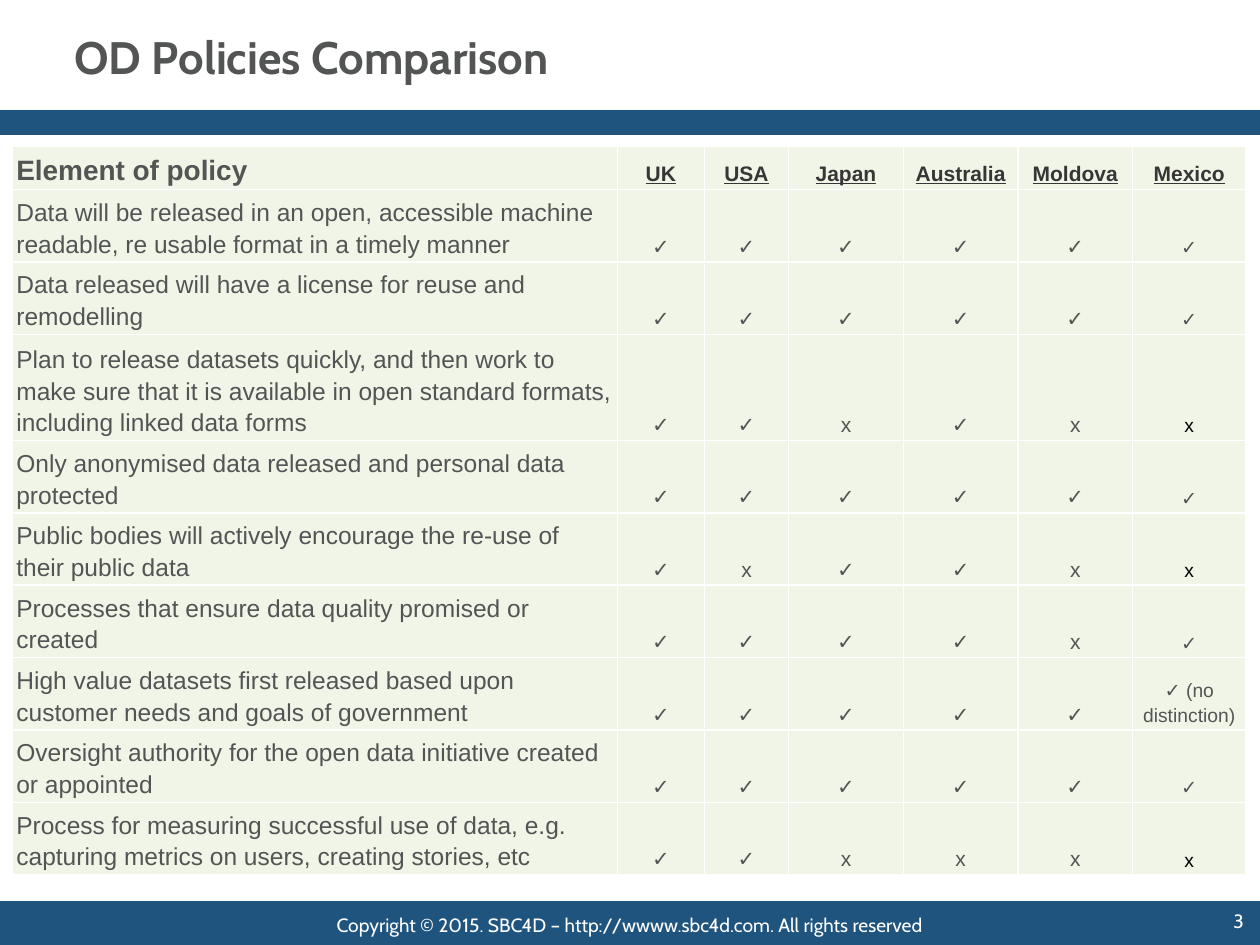
from dataclasses import dataclass

from lxml import etree
from pptx import Presentation
from pptx.dml.color import RGBColor
from pptx.enum.shapes import MSO_SHAPE
from pptx.enum.text import MSO_ANCHOR, MSO_AUTO_SIZE, PP_ALIGN
from pptx.oxml.ns import qn
from pptx.util import Inches, Pt

RECT = MSO_SHAPE.RECTANGLE
TOP, MIDDLE, BOTTOM = MSO_ANCHOR.TOP, MSO_ANCHOR.MIDDLE, MSO_ANCHOR.BOTTOM
LEFT, CENTER, RIGHT = PP_ALIGN.LEFT, PP_ALIGN.CENTER, PP_ALIGN.RIGHT
NO_AUTOFIT = MSO_AUTO_SIZE.NONE

COUNTRIES = ["UK", "USA", "Japan", "Australia", "Moldova", "Mexico"]
POLICIES = [
    ("Data will be released in an open, accessible machine readable, "
     "re usable format in a timely manner", "✓✓✓✓✓✓"),
    ("Data released will have a license for reuse and remodelling", "✓✓✓✓✓✓"),
    ("Plan to release datasets quickly, and then work to make sure that it is "
     "available in open standard formats, including linked data forms", "✓✓x✓xx"),
    ("Only anonymised data released and personal data protected", "✓✓✓✓✓✓"),
    ("Public bodies will actively encourage the re-use of their public data", "✓x✓✓xx"),
    ("Processes that ensure data quality promised or created", "✓✓✓✓x✓"),
    ("High value datasets first released based upon customer needs and goals "
     "of government", ["✓"] * 5 + ["✓ (no distinction)"]),
    ("Oversight authority for the open data initiative created or appointed", "✓✓✓✓✓✓"),
    ("Process for measuring successful use of data, e.g. capturing metrics on "
     "users, creating stories, etc", "✓✓xxxx"),
]
COL_WIDTHS = [4.8, 0.69, 0.67] + [0.91] * 3 + [0.9]
ROW_HEIGHTS = [0.32, 0.57, 0.57, 0.84] + [0.57] * 6


@dataclass(frozen=True)
class Theme:
    """Colours, fonts and type sizes."""
    band: str = "1F547E"
    cell: str = "F0F5E7"
    white: str = "FFFFFF"
    black: str = "000000"
    text: str = "535555"
    country: str = "363636"
    brand_font: str = "Cabin"
    table_font: str = "Arial"
    title: int = 26
    heading: int = 16
    policy: int = 14
    mark: int = 12
    small: int = 11


def write(tf, text, font, size, color, bold=False, underline=False,
          align=LEFT, anchor=TOP, spacing=None):
    """Put one formatted paragraph into a text frame."""
    tf.word_wrap = True
    tf.vertical_anchor = anchor
    p = tf.paragraphs[0]
    p.alignment = align
    p.line_spacing = spacing
    r = p.add_run()
    r.text = text
    r.font.name, r.font.size = font, Pt(size)
    r.font.bold, r.font.underline = bold, underline
    r.font.color.rgb = RGBColor.from_string(color)


class SlideBuilder:
    """Hold the theme and the current slide."""

    def __init__(self, slide, theme):
        self.s, self.theme = slide, theme

    def band(self, top, height, line_width):
        """Draw a full-width coloured band."""
        sp = self.s.shapes.add_shape(RECT, 0, Inches(top), Inches(10), Inches(height))
        sp.shadow.inherit = False
        color = RGBColor.from_string(self.theme.band)
        sp.fill.solid()
        sp.fill.fore_color.rgb = color
        sp.line.color.rgb = color
        sp.line.width = Pt(line_width)
        return sp

    def title(self, text):
        """Fill and place the title placeholder."""
        t, sp = self.theme, self.s.shapes.title
        sp.left, sp.top = Inches(0.49), Inches(0)
        sp.width, sp.height = Inches(7.99), Inches(0.89)
        sp.text_frame.auto_size = NO_AUTOFIT
        write(sp.text_frame, text, t.brand_font, t.title, t.text, bold=True, anchor=MIDDLE)

    def footer(self, text, number):
        """Draw the footer band with its text and the page number."""
        t = self.theme
        style = dict(font=t.brand_font, size=t.small, color=t.white)
        sp = self.band(7.16, 0.36, 0.75)
        write(sp.text_frame, text, align=CENTER, anchor=MIDDLE, **style)
        box = self.s.shapes.add_textbox(Inches(9.17), Inches(7.17), Inches(0.8), Inches(0.34))
        write(box.text_frame, number, align=RIGHT, **style)

    def cell(self, cell, text, **style):
        """Format one table cell with borders, fill and text."""
        t = self.theme
        tc_pr = cell._tc.get_or_add_tcPr()
        for side in ("lnL", "lnR", "lnT", "lnB"):
            ln = etree.SubElement(tc_pr, qn(f"a:{side}"), w=str(Pt(1)))
            fill = etree.SubElement(ln, qn("a:solidFill"))
            etree.SubElement(fill, qn("a:srgbClr"), val=t.white)
        cell.fill.solid()
        cell.fill.fore_color.rgb = RGBColor.from_string(t.cell)
        cell.margin_left = cell.margin_right = Inches(0.03)
        cell.margin_top, cell.margin_bottom = Pt(0.75), Pt(2)
        cell.vertical_anchor = BOTTOM
        write(cell.text_frame, text, t.table_font, anchor=None, spacing=1.15, **style)

    def table(self, left, top):
        """Draw the comparison of policies by country."""
        t = self.theme
        table = self.s.shapes.add_table(
            len(ROW_HEIGHTS), len(COL_WIDTHS), Inches(left), Inches(top),
            Inches(sum(COL_WIDTHS)), Inches(sum(ROW_HEIGHTS))).table
        for col, width in zip(table.columns, COL_WIDTHS):
            col.width = Inches(width)
        for row, height in zip(table.rows, ROW_HEIGHTS):
            row.height = Inches(height)
        self.cell(table.cell(0, 0), "Element of policy", size=t.heading, color=t.text, bold=True)
        for j, country in enumerate(COUNTRIES, 1):
            self.cell(table.cell(0, j), country, size=t.mark, color=t.country,
                      bold=True, underline=True, align=CENTER)
        for i, (policy, marks) in enumerate(POLICIES, 1):
            self.cell(table.cell(i, 0), policy, size=t.policy, color=t.text)
            for j, mark in enumerate(marks, 1):
                last = j == len(COUNTRIES)
                self.cell(table.cell(i, j), mark, size=t.small if last else t.mark,
                          color=t.black if last and mark == "x" else t.text, align=CENTER)


def main():
    """Build and save the slide."""
    prs = Presentation()
    prs.slide_width, prs.slide_height = Inches(10), Inches(7.5)
    builder = SlideBuilder(prs.slides.add_slide(prs.slide_layouts[5]), Theme())
    builder.footer("Copyright © 2015. SBC4D – http://wwww.sbc4d.com. All rights reserved", "3")
    builder.band(0.89, 0.17, 2)
    builder.title("OD Policies Comparison")
    builder.table(0.1, 1.16)
    prs.save("out.pptx")


if __name__ == "__main__":
    main()
